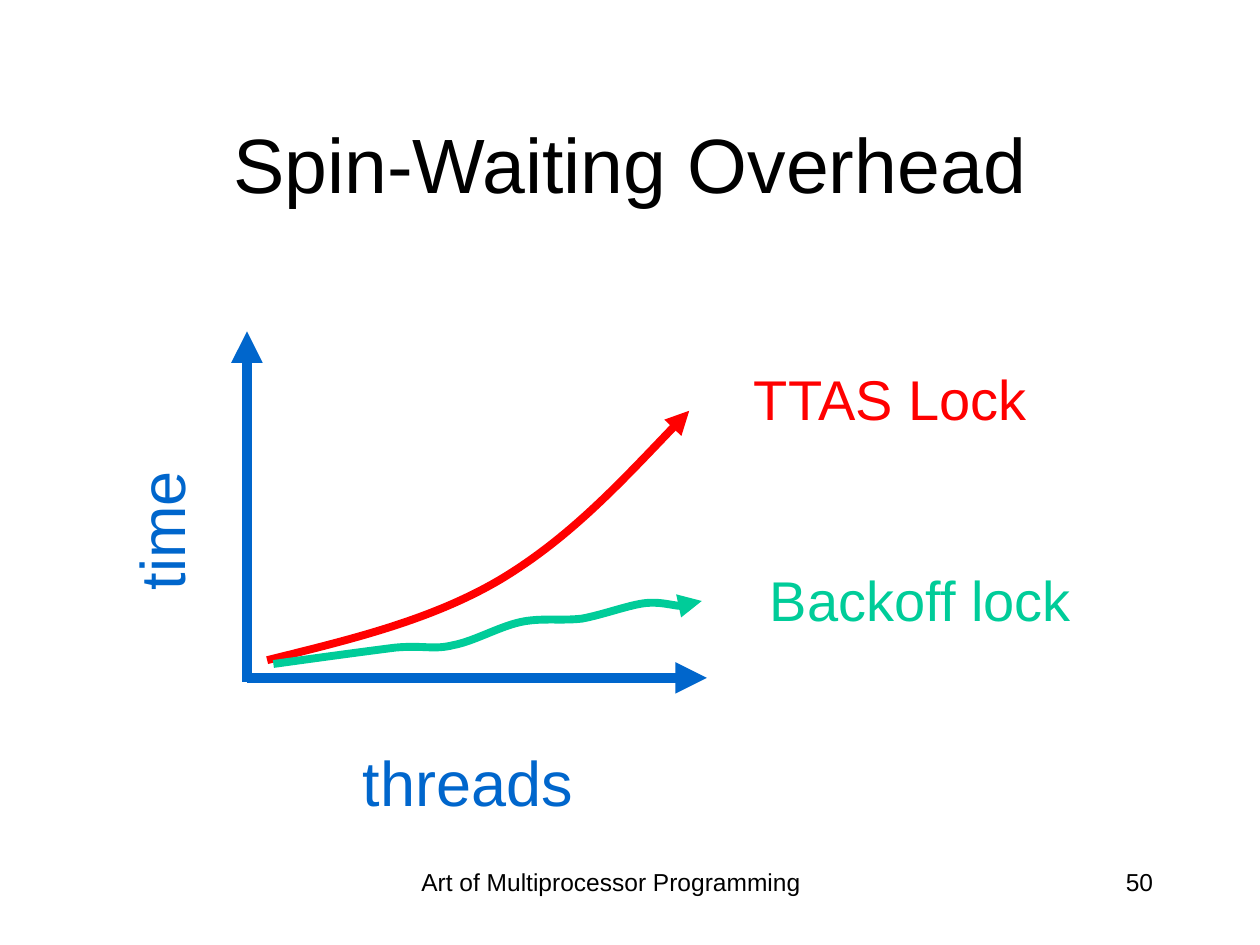
from lxml.etree import SubElement
from pptx import Presentation
from pptx.dml.color import RGBColor
from pptx.enum.shapes import MSO_CONNECTOR
from pptx.enum.text import MSO_ANCHOR, PP_ALIGN
from pptx.oxml.ns import qn
from pptx.util import Inches, Pt

COLORS = {"text": "000000", "axis": "0066CC", "ttas": "FF0000", "backoff": "00CC99"}

# Each curve is a start point, then groups of two handles and an end point
TTAS = [(2.12, 5.24), (2.76, 5.08), (3.41, 4.93), (3.97, 4.6),
        (4.52, 4.27), (4.99, 3.76), (5.47, 3.26)]
BACKOFF = [(2.17, 5.27), (2.53, 5.22), (2.9, 5.17), (3.14, 5.14),
           (3.37, 5.12), (3.44, 5.16), (3.6, 5.12),
           (3.76, 5.09), (3.95, 4.98), (4.12, 4.94),
           (4.29, 4.9), (4.45, 4.93), (4.62, 4.91),
           (4.78, 4.88), (4.97, 4.81), (5.1, 4.79),
           (5.23, 4.77), (5.34, 4.81), (5.42, 4.81),
           (5.5, 4.81), (5.53, 4.79), (5.57, 4.77)]


def write(shape, text, size=14, color="text", align=PP_ALIGN.CENTER,
          anchor=MSO_ANCHOR.TOP, wrap=True, inset=0.1):
    frame = shape.text_frame
    frame.word_wrap = wrap
    frame.vertical_anchor = anchor
    frame.margin_left = frame.margin_right = Inches(inset)
    para = frame.paragraphs[0]
    para.alignment = align
    run = para.add_run()
    run.text = text
    run.font.name = "Arial"
    run.font.size = Pt(size)
    run.font.color.rgb = RGBColor.from_string(COLORS[color])


def add_text(slide, box, text, turn=0, **style):
    shape = slide.shapes.add_textbox(*map(Inches, box))
    shape.rotation = turn
    write(shape, text, **style)


def add_arrow(shape, color, width):
    """Style a line and give its end a triangle head."""
    shape.line.color.rgb = RGBColor.from_string(COLORS[color])
    shape.line.width = Pt(width)
    line = shape.line._get_or_add_ln()
    SubElement(line, qn("a:round"))
    SubElement(line, qn("a:tailEnd"), type="triangle")


def add_axis(slide, start, end):
    axis = slide.shapes.add_connector(
        MSO_CONNECTOR.STRAIGHT, *map(Inches, start + end))
    add_arrow(axis, "axis", 6)
    SubElement(axis._element.spPr, qn("a:effectLst"))


def add_curve(slide, knots, color):
    start, *rest = [tuple(map(Inches, knot)) for knot in knots]
    form = slide.shapes.build_freeform(*start)
    form.add_line_segments(rest, close=False)
    curve = form.convert_to_shape()

    # Turn each three straight pieces into one cubic curve
    route = next(curve._element.iter(qn("a:path")))
    pieces = route.findall(qn("a:lnTo"))
    for i in range(0, len(pieces), 3):
        cubic = SubElement(route, qn("a:cubicBezTo"))
        for piece in pieces[i:i + 3]:
            cubic.append(piece[0])
            route.remove(piece)

    curve.shadow.inherit = False
    curve.fill.background()
    add_arrow(curve, color, 4.5)


def main():
    deck = Presentation()
    deck.slide_width, deck.slide_height = Inches(10), Inches(7.5)
    slide = deck.slides.add_slide(deck.slide_layouts[5])

    # Title
    title = slide.shapes.title
    title.left, title.top = Inches(0.75), Inches(0.67)
    title.width, title.height = Inches(8.5), Inches(1.25)
    write(title, "Spin-Waiting Overhead", size=44, anchor=MSO_ANCHOR.MIDDLE)

    # Footer and page number
    add_text(slide, (2.89, 6.83, 3.92, 0.5), "Art of Multiprocessor Programming")
    add_text(slide, (7.17, 6.83, 2.08, 0.5), "50", align=PP_ALIGN.RIGHT)

    # Axes and their names
    add_axis(slide, (1.96, 5.41), (1.96, 2.63))
    add_axis(slide, (1.96, 5.38), (5.61, 5.38))
    name = dict(size=36, color="axis", anchor=MSO_ANCHOR.MIDDLE,
                wrap=False, inset=0.03)
    add_text(slide, (0.75, 3.81, 1.05, 0.8), "time", turn=270, **name)
    add_text(slide, (2.83, 5.8, 1.77, 0.8), "threads", **name)

    # Curves and their labels
    add_curve(slide, TTAS, "ttas")
    add_curve(slide, BACKOFF, "backoff")
    label = dict(size=32, align=PP_ALIGN.RIGHT, wrap=False)
    add_text(slide, (5.85, 2.84, 2.4, 0.64), "TTAS Lock", color="ttas", **label)
    add_text(slide, (6, 4.44, 2.6, 0.64), "Backoff lock", color="backoff", **label)

    deck.save("out.pptx")


if __name__ == "__main__":
    main()
